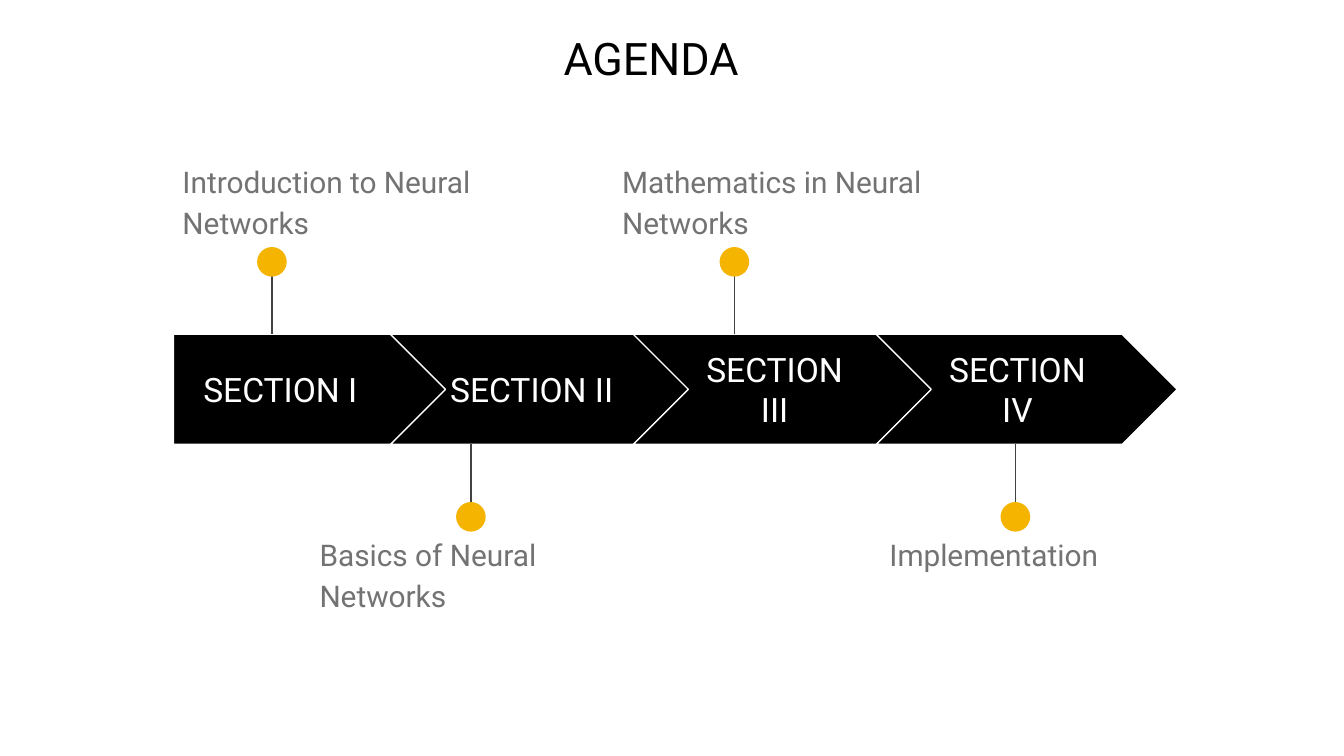
from dataclasses import dataclass
from typing import NamedTuple

from lxml.etree import SubElement
from pptx import Presentation
from pptx.dml.color import RGBColor
from pptx.enum.shapes import MSO_CONNECTOR as Connector, MSO_SHAPE as Shape
from pptx.enum.text import MSO_ANCHOR as Anchor, PP_ALIGN as Align
from pptx.oxml.ns import qn
from pptx.util import Cm, Pt


@dataclass(frozen=True)
class Theme:
    font: str = "Roboto"
    black: RGBColor = RGBColor(0x00, 0x00, 0x00)
    white: RGBColor = RGBColor(0xFF, 0xFF, 0xFF)
    grey: RGBColor = RGBColor(0x73, 0x73, 0x73)
    stem: RGBColor = RGBColor(0x42, 0x42, 0x42)
    accent: RGBColor = RGBColor(0xF4, 0xB4, 0x00)
    title_size: Pt = Pt(24)
    section_size: Pt = Pt(18)
    topic_size: Pt = Pt(16)
    line_width: Pt = Pt(0.75)


class Box(NamedTuple):
    left: int
    top: int
    width: int
    height: int


class Section(NamedTuple):
    name: str
    topic: str
    pin_x: int
    topic_left: int


THEME = Theme()
SECTIONS = [
    Section("SECTION I", "Introduction to Neural Networks", Cm(5.14), Cm(3.2)),
    Section("SECTION II", "Basics of Neural Networks", Cm(8.9), Cm(5.79)),
    Section("SECTION III", "Mathematics in Neural Networks", Cm(13.88), Cm(11.51)),
    Section("SECTION IV", "Implementation", Cm(19.19), Cm(16.56)),
]
TITLE_BOX = Box(Cm(3.3), Cm(0.33), Cm(18.01), Cm(1.65))
ARROW_BAND = Box(Cm(3.28), Cm(6.32), Cm(18.97), Cm(2.08))
FIRST_ARROW_WIDTH = Cm(5.21)
CHEVRON_WIDTH = Cm(5.69)
CHEVRON_PITCH = Cm(4.59)
STEM_LENGTH = Cm(1.52)
DOT_DISTANCE = Cm(1.37)
DOT_SIZE = Cm(0.56)


def add_text(slide, box, text, size, color, align=Align.LEFT,
             anchor=Anchor.TOP, line_spacing=1.0):
    frame = slide.shapes.add_textbox(*box).text_frame
    frame.word_wrap = True
    frame.vertical_anchor = anchor
    frame.margin_left = frame.margin_right = Cm(0.25)
    frame.margin_top = frame.margin_bottom = Cm(0.25)
    paragraph = frame.paragraphs[0]
    paragraph.alignment = align
    paragraph.line_spacing = line_spacing
    run = paragraph.add_run()
    run.text = text
    run.font.name = THEME.font
    run.font.size = size
    run.font.color.rgb = color


def add_arrow(slide, box, kind, name, label_offset, label_width):
    """Draw one arrow with its section name centred in height."""
    arrow = slide.shapes.add_shape(kind, *box)
    arrow.shadow.inherit = False
    arrow.fill.solid()
    arrow.fill.fore_color.rgb = THEME.black
    arrow.line.color.rgb = THEME.white
    arrow.line.width = THEME.line_width
    label_height = Cm(1.3)
    label = Box(box.left + label_offset, box.top + (box.height - label_height) // 2,
                label_width, label_height)
    add_text(slide, label, name, THEME.section_size, THEME.white,
             Align.CENTER, Anchor.MIDDLE)


def add_pin(slide, x, edge, direction):
    """Draw a stem and dot from the band edge; direction is -1 up, 1 down."""
    shapes = slide.shapes.add_group_shape().shapes
    stem = shapes.add_connector(Connector.STRAIGHT, x, edge + direction * STEM_LENGTH, x, edge)
    stem.line.color.rgb = THEME.stem
    stem.line.width = THEME.line_width
    SubElement(stem._element.spPr, qn("a:effectLst"))
    dot = shapes.add_shape(Shape.OVAL, x - DOT_SIZE // 2,
                           edge + direction * DOT_DISTANCE - DOT_SIZE // 2,
                           DOT_SIZE, DOT_SIZE)
    dot.shadow.inherit = False
    dot.fill.solid()
    dot.fill.fore_color.rgb = THEME.accent
    dot.line.fill.background()


def add_timeline(slide, band, sections):
    """Chain the section arrows, with topics alternately above and below."""
    for index, section in enumerate(sections):
        if index == 0:
            box = Box(band.left, band.top, FIRST_ARROW_WIDTH, band.height)
            add_arrow(slide, box, Shape.PENTAGON, section.name, 0, Cm(4.04))
        else:
            left = band.left + band.width - CHEVRON_WIDTH
            left -= (len(sections) - 1 - index) * CHEVRON_PITCH
            box = Box(left, band.top, CHEVRON_WIDTH, band.height)
            add_arrow(slide, box, Shape.CHEVRON, section.name, Cm(0.84), Cm(3.66))

        above = index % 2 == 0
        edge = band.top if above else band.top + band.height
        add_pin(slide, section.pin_x, edge, -1 if above else 1)
        topic_top = edge - Cm(3.58) if above else edge + Cm(1.4)
        add_text(slide, Box(section.topic_left, topic_top, Cm(6.22), Cm(2.51)),
                 section.topic, THEME.topic_size, THEME.grey, line_spacing=1.15)


def main():
    presentation = Presentation()
    presentation.slide_width = Cm(25.4)
    presentation.slide_height = Cm(14.29)
    slide = presentation.slides.add_slide(presentation.slide_layouts[6])
    add_timeline(slide, ARROW_BAND, SECTIONS)
    add_text(slide, TITLE_BOX, "AGENDA", THEME.title_size, THEME.black, Align.CENTER)
    presentation.save("out.pptx")


if __name__ == "__main__":
    main()
